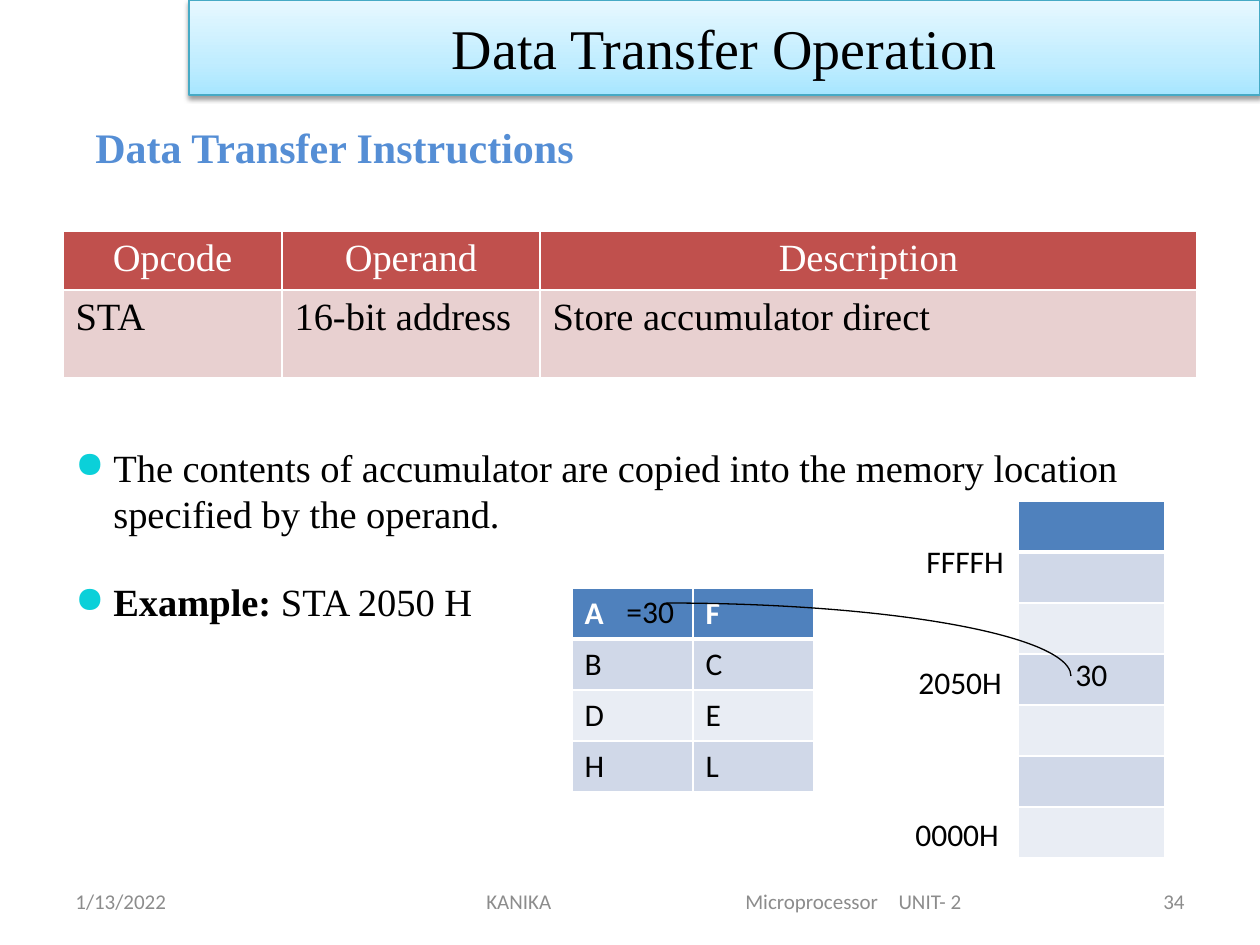
"""Build the slide that explains the STA data transfer instruction."""
from lxml import etree
from pptx import Presentation
from pptx import util as u
from pptx.dml.color import RGBColor
from pptx.enum import shapes, text
from pptx.oxml.ns import nsdecls, qn
from pptx.oxml import parse_xml

SERIF, SANS = "Times New Roman", "Calibri"
BLACK, WHITE, GREY = "000000", "FFFFFF", "8C8C8C"
BLUE, BLUE_BANDS = "4F81BD", ("D0D8E8", "E9EDF4")
LEFT, CENTER, RIGHT = text.PP_ALIGN.LEFT, text.PP_ALIGN.CENTER, text.PP_ALIGN.RIGHT
TOP, MIDDLE = text.MSO_ANCHOR.TOP, text.MSO_ANCHOR.MIDDLE


def px(length):
    """Turn slide pixels into EMU."""
    return u.Emu(round(length * 914400 / 126))


def color(value):
    """Turn a hex string into a colour."""
    return RGBColor.from_string(value)


class SlideBuilder:
    """Hold the style and the current slide."""

    def __init__(self, presentation):
        """Add a blank slide to the presentation."""
        self.slide = presentation.slides.add_slide(presentation.slide_layouts[6])

    def add_runs(self, paragraph, runs, size, font, fill, align=LEFT):
        """Add (words, bold) runs to a paragraph."""
        paragraph.alignment = align
        for words, bold in runs:
            run = paragraph.add_run()
            run.text = words
            run.font.size = u.Pt(size)
            run.font.name = font
            run.font.bold = bold
            run.font.color.rgb = color(fill)

    def text_box(self, box, words="", size=18, font=SANS, fill=BLACK, bold=False,
                 align=LEFT, anchor=TOP, wrap=True):
        """Add a text box and return its frame."""
        frame = self.slide.shapes.add_textbox(*map(px, box)).text_frame
        frame.word_wrap = wrap
        frame.vertical_anchor = anchor
        if words:
            self.add_runs(frame.paragraphs[0], [(words, bold)], size, font, fill, align)
        return frame

    def footer(self, box, words, align=LEFT):
        """Add a grey footer text."""
        return self.text_box(box, words, 12, SANS, GREY, align=align, anchor=MIDDLE)

    def tabbed_footer(self, box, words, indent, stops):
        """Add a footer whose parts start at tab stops."""
        frame = self.footer(box, "")
        properties = frame.paragraphs[0]._p.get_or_add_pPr()
        properties.set("marL", str(px(indent)))
        tabs = etree.SubElement(properties, qn("a:tabLst"))
        for stop in stops:
            etree.SubElement(tabs, qn("a:tab"), pos=str(px(stop)), algn="l")
        self.add_runs(frame.paragraphs[0], [("\t".join(words), False)], 12, SANS, GREY)

    def banner(self, box, words):
        """Add the shaded title bar."""
        shape = self.slide.shapes.add_shape(shapes.MSO_SHAPE.RECTANGLE, *map(px, box))
        shape.line.color.rgb = color("46AAC5")
        shape.line.width = u.Pt(0.75)
        stops = ((0, "A7E6FF"), (35, "C1EDFF"), (100, "E7F8FF"))
        stop_xml = "".join(f'<a:gs pos="{place * 1000}"><a:srgbClr val="{value}"/></a:gs>'
                           for place, value in stops)
        properties = shape._element.spPr
        properties.find(qn("a:ln")).addprevious(parse_xml(
            f'<a:gradFill {nsdecls("a")} rotWithShape="1"><a:gsLst>{stop_xml}</a:gsLst>'
            '<a:lin ang="16200000" scaled="0"/></a:gradFill>'))
        properties.append(parse_xml(
            f'<a:effectLst {nsdecls("a")}><a:outerShdw blurRad="{u.Pt(3.1)}" '
            f'dist="{u.Pt(1.6)}" dir="5400000" rotWithShape="0"><a:srgbClr val="{BLACK}">'
            '<a:alpha val="38000"/></a:srgbClr></a:outerShdw></a:effectLst>'))
        shape.text_frame.vertical_anchor = MIDDLE
        self.add_runs(shape.text_frame.paragraphs[0], [(words, False)], 32, SERIF, BLACK, CENTER)

    def bullets(self, box, items, inset):
        """Add a bulleted list that starts below a top inset."""
        frame = self.text_box(box)
        frame.margin_top = px(inset)
        for index, runs in enumerate(items):
            paragraph = frame.add_paragraph() if index else frame.paragraphs[0]
            properties = paragraph._p.get_or_add_pPr()
            properties.set("marL", str(px(38)))
            properties.set("indent", str(-px(38)))
            bullet_color = etree.SubElement(properties, qn("a:buClr"))
            etree.SubElement(bullet_color, qn("a:srgbClr"), val="0BD0D9")
            etree.SubElement(properties, qn("a:buSzPct"), val="95000")
            etree.SubElement(properties, qn("a:buChar"), char="●")
            paragraph.space_after = u.Pt(24)
            self.add_runs(paragraph, runs, 22, SERIF, BLACK)

    def borders(self, cell, top, bottom):
        """Draw white cell borders with the given top and bottom widths."""
        properties = cell._tc.get_or_add_tcPr()
        widths = {"lnL": 1, "lnR": 1, "lnT": top, "lnB": bottom}
        for index, (tag, width) in enumerate(widths.items()):
            properties.insert(index, parse_xml(
                f'<a:{tag} {nsdecls("a")} w="{u.Pt(width)}"><a:solidFill>'
                f'<a:srgbClr val="{WHITE}"/></a:solidFill></a:{tag}>'))

    def table(self, corner, widths, heights, rows, size=18, font=SANS, header=BLUE,
              bands=BLUE_BANDS, bold=True, align=LEFT, rule=3):
        """Add a table with a header row and banded body rows."""
        box = (*corner, sum(widths), sum(heights))
        table = self.slide.shapes.add_table(len(rows), len(widths), *map(px, box)).table
        table.first_row = table.horz_banding = False
        for column, width in zip(table.columns, widths):
            column.width = px(width)
        for index, (row, height, words) in enumerate(zip(table.rows, heights, rows)):
            row.height = px(height)
            is_header = index == 0
            for cell, word in zip(row.cells, words):
                cell.fill.solid()
                cell.fill.fore_color.rgb = color(header if is_header else bands[(index - 1) % len(bands)])
                self.borders(cell, rule if index == 1 else 1, rule if is_header else 1)
                if word:
                    self.add_runs(cell.text_frame.paragraphs[0], [(word, bold and is_header)],
                                  size, font, WHITE if is_header else BLACK,
                                  align if is_header else LEFT)

    def arc(self, box):
        """Add a thin quarter arc."""
        shape = self.slide.shapes.add_shape(shapes.MSO_SHAPE.ARC, *map(px, box))
        shape.shadow.inherit = False
        shape.fill.background()
        shape.line.color.rgb = color(BLACK)
        shape.line.width = u.Pt(0.75)


def main():
    """Build and save the slide."""
    presentation = Presentation()
    presentation.slide_width, presentation.slide_height = px(1260), px(945)
    builder = SlideBuilder(presentation)

    builder.tabbed_footer((346, 876, 693, 50), ("KANIKA", "Microprocessor", "UNIT- 2"),
                          128, (259, 477))
    builder.footer((903, 876, 294, 50), "34", RIGHT)
    builder.banner((189, 0, 1071, 95), "Data Transfer Operation")
    builder.text_box((83, 115, 509, 64), "Data Transfer Instructions", 24, SERIF, "558ED5",
                     bold=True, wrap=False)
    builder.table((63, 231), (219, 258, 657), (58, 88),
                  (("Opcode", "Operand", "Description"),
                   ("STA", "16-bit address", "Store accumulator direct")),
                  22, SERIF, "C0504D", ("E8D0D0",), bold=False, align=CENTER, rule=1)
    builder.bullets((63, 346, 1134, 428), (
        [("The contents of accumulator are copied into the memory location "
          "specified by the operand.", False)],
        [("Example:", True), (" STA 2050 H", False)]), 98)
    builder.table((572, 588), (121, 121), (51,) * 4, ("AF", "BC", "DE", "HL"))
    builder.table((1018, 501), (147,), (51,) * 7, [("",)] * 7)
    for left, top, width, words in ((903, 809, 168, "0000H"), (914, 536, 168, "FFFFH"),
                                    (906, 657, 168, "2050H"), (614, 586, 79, "=30")):
        builder.text_box((left, top, width, 50), words)
    builder.arc((262, 603, 809, 146))
    builder.text_box((1063, 649, 79, 50), "30")
    builder.footer((63, 876, 294, 50), "1/13/2022")

    presentation.save("out.pptx")


if __name__ == "__main__":
    main()
